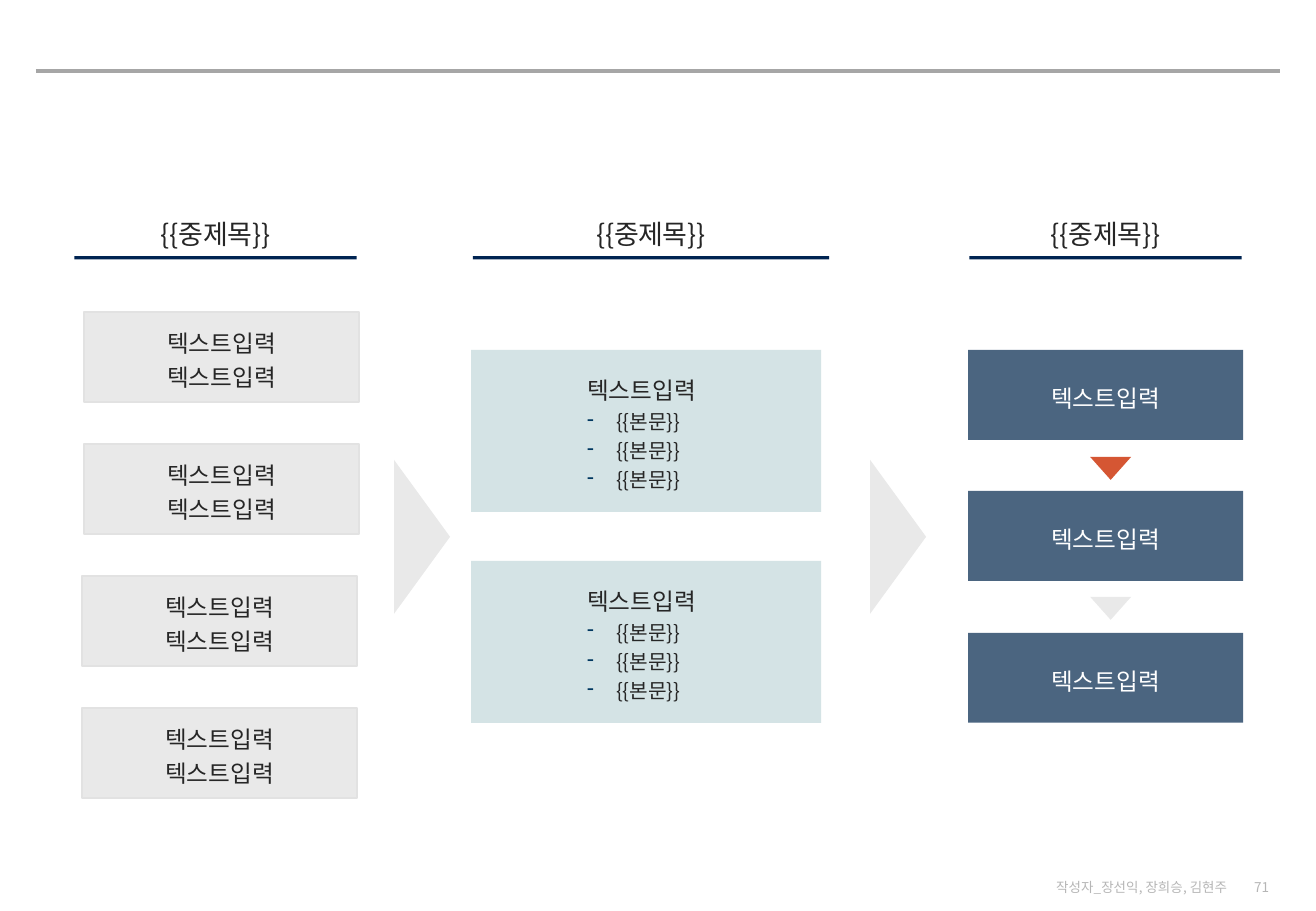
from lxml import etree
from pptx import Presentation
from pptx import util as u
from pptx.dml.color import RGBColor
from pptx.enum import shapes, text
from pptx.oxml import ns

FONT = "Noto Sans CJK KR"
DARK, GREY, PALE, BLUE = "262626", "E9E9E9", "D4E3E5", "4B6580"
SHAPE, ALIGN, ANCHOR = shapes.MSO_SHAPE, text.PP_ALIGN, text.MSO_ANCHOR
ENTRY = "텍스트입력"


def px(n):
    return u.Emu(round(n * 914400 / 121.5))


def rgb(code):
    return RGBColor.from_string(code)


def add(parent, tag, **attrs):
    return etree.SubElement(parent, ns.qn(tag), attrs)


def block(slide, kind, box, fill, line=None, turn=0):
    item = slide.shapes.add_shape(kind, *map(px, box))
    item.shadow.inherit = False
    item.fill.solid()
    item.fill.fore_color.rgb = rgb(fill)
    if line:
        item.line.color.rgb = rgb(line)
        item.line.width = u.Pt(1)
    else:
        item.line.fill.background()
    item.rotation = turn
    return item


def style(para, size, color, align, space=None):
    para.alignment = align
    para.line_spacing = space
    font = para.font
    font.size, font.name = u.Pt(size), FONT
    font.color.rgb = rgb(color)
    props = para._p.pPr.find(ns.qn("a:defRPr"))
    add(props, "a:ea", typeface=FONT)
    return props


def dash(para):
    props = para._p.get_or_add_pPr()
    props.set("marL", str(px(29)))
    props.set("indent", str(-px(29)))
    add(add(props, "a:buClr"), "a:srgbClr", val="003760")
    add(props, "a:buChar", char="-")


def write(item, lines, size, color, align=ALIGN.CENTER, space=1.2):
    frame = item.text_frame
    frame.word_wrap = True
    frame.vertical_anchor = ANCHOR.MIDDLE
    for i, words in enumerate(lines):
        para = frame.add_paragraph() if i else frame.paragraphs[0]
        para.text = words
        style(para, size, color, align, space)
    return frame


# Column heading, underlined by a hard shadow
def heading(slide, box):
    item = block(slide, SHAPE.RECTANGLE, box, "FFFFFF")
    effects = item._element.spPr.find(ns.qn("a:effectLst"))
    shade = add(effects, "a:outerShdw", blurRad="0", dist=str(u.Pt(2)),
                dir="5400000", sx="99000", algn="t", rotWithShape="0")
    add(shade, "a:srgbClr", val="002452")
    frame = item.text_frame
    frame.word_wrap = True
    frame.vertical_anchor = ANCHOR.BOTTOM
    para = frame.paragraphs[0]
    para.text = "{{중제목}}"
    style(para, 16, DARK, ALIGN.CENTER).set("spc", "-20")


# Left column: four grey inputs, the lower pair set slightly left
def inputs(slide, x, y):
    for i in range(4):
        box = (x - i // 2 * 2, y + 132 * i, 275, 90)
        item = block(slide, SHAPE.RECTANGLE, box, GREY, "E2E2E2")
        write(item, [ENTRY] * 2, 14, DARK)


# Middle column: two pale cards with dashed lists
def cards(slide, x, y):
    for i in range(2):
        item = block(slide, SHAPE.RECTANGLE, (x, y + 211 * i, 350, 162), PALE)
        frame = write(item, [ENTRY], 14, DARK, ALIGN.LEFT)
        frame.margin_left = px(116)
        for _ in range(3):
            para = frame.add_paragraph()
            para.text = "{{본문}}"
            dash(para)
            style(para, 12, DARK, ALIGN.LEFT, 1.2)


# Right column: three blue steps joined by small triangles
def steps(slide, x, y):
    for i in range(3):
        box = (x, y + 283 * i // 2, 275, 90)
        write(block(slide, SHAPE.RECTANGLE, box, BLUE), [ENTRY], 14, "FFFFFF")
    for i, fill in enumerate(("D55633", GREY)):
        box = (x + 122, y + 107 + 140 * i, 41, 23)
        block(slide, SHAPE.ISOSCELES_TRIANGLE, box, fill, turn=180)


# Large pointers between the columns
def pointers(slide, y):
    for x in (345, 821):
        block(slide, SHAPE.ISOSCELES_TRIANGLE, (x, y, 154, 56), GREY, turn=90)


# Rule at the top, credit and page number at the foot
def frame_page(slide):
    rule = slide.shapes.add_connector(
        shapes.MSO_CONNECTOR.STRAIGHT, px(36), px(71), px(1280), px(71))
    rule.line.color.rgb = rgb("A6A6A6")
    rule.line.width = u.Pt(0)
    add(rule._element.spPr, "a:effectLst")
    for words, x, w in (("71", 1231, 50),
                        ("작성자_장선익, 장희승, 김현주", 1035, 204)):
        item = slide.shapes.add_textbox(px(x), px(877), px(w), px(20))
        write(item, [words], 8, "B6B6B6", ALIGN.RIGHT, None)


def main():
    deck = Presentation()
    deck.slide_width, deck.slide_height = u.Inches(10.83), u.Inches(7.5)
    slide = deck.slides.add_slide(deck.slide_layouts[6])
    frame_page(slide)
    for x, w in ((73, 285), (471, 360), (968, 275)):
        heading(slide, (x, 211, w, 45))
    inputs(slide, 84, 312)
    cards(slide, 471, 350)
    steps(slide, 968, 350)
    pointers(slide, 509)
    deck.save("out.pptx")


if __name__ == "__main__":
    main()
